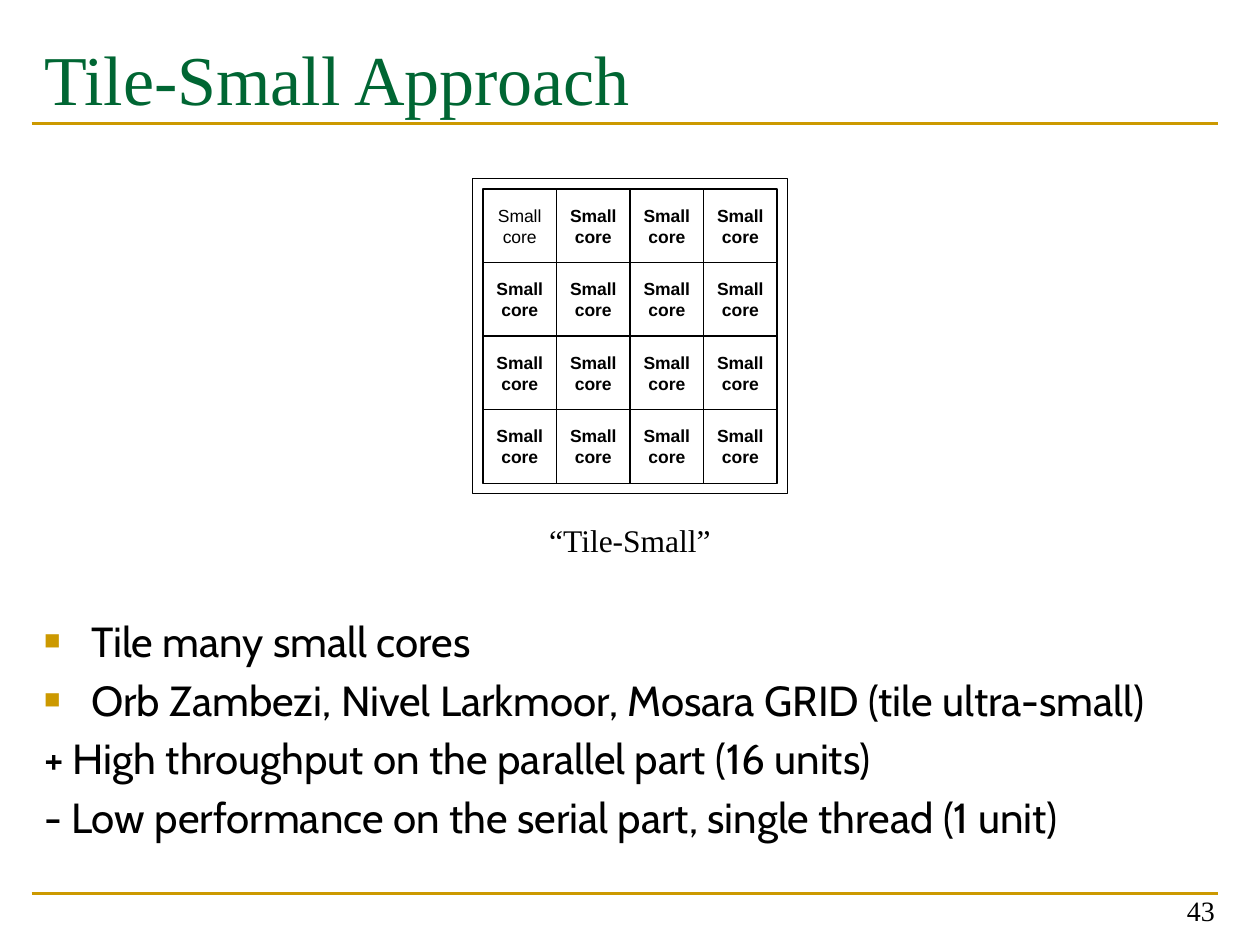
"""Build the Tile-Small Approach slide: a 4 x 4 grid of small cores with notes."""
from dataclasses import dataclass

from lxml import etree
from pptx import Presentation
from pptx.dml.color import RGBColor
from pptx.enum import shapes, text
from pptx.oxml import ns
from pptx.util import Cm, Pt


@dataclass(frozen=True)
class Theme:
    green: str = "006633"
    gold: str = "CC9900"
    black: str = "000000"
    white: str = "FFFFFF"
    serif: str = "Times New Roman"
    sans: str = "Arial"
    body: str = "Cabin"
    title_size: float = 40
    body_size: float = 24
    caption_size: float = 18
    number_size: float = 16
    core_size: float = 10


THEME = Theme()
MARGIN, CONTENT_WIDTH = 0.64, 23.92
CHIP_SIZE, CHIP_TOP, CHIP_PADDING, CORES_PER_SIDE = 6.35, 3.6, 0.21, 4
NOTES = [
    ("Tile many small cores", True),
    ("Orb Zambezi, Nivel Larkmoor, Mosara GRID (tile ultra-small)", True),
    ("+ High throughput on the parallel part (16 units)", False),
    ("- Low performance on the serial part, single thread (1 unit)", False),
]


def color(value):
    return RGBColor.from_string(value)


def style(paragraph, name, size, value=THEME.black, bold=False):
    font = paragraph.font
    font.name, font.size, font.bold = name, Pt(size), bold
    font.color.rgb = color(value)


def add_rule(slide, top):
    line = slide.shapes.add_connector(
        shapes.MSO_CONNECTOR.STRAIGHT,
        Cm(MARGIN), Cm(top), Cm(MARGIN + CONTENT_WIDTH), Cm(top))
    line.line.color.rgb = color(THEME.gold)
    line.line.width = Pt(1.5)
    etree.SubElement(line._element.spPr, ns.qn("a:effectLst"))


def add_label(slide, content, left, top, width, height, name, size,
              value=THEME.black, align=text.PP_ALIGN.LEFT,
              anchor=text.MSO_ANCHOR.TOP):
    box = slide.shapes.add_textbox(Cm(left), Cm(top), Cm(width), Cm(height))
    frame = box.text_frame
    frame.word_wrap = True
    frame.vertical_anchor = anchor
    paragraph = frame.paragraphs[0]
    paragraph.text = content
    paragraph.alignment = align
    style(paragraph, name, size, value)
    return box


def add_square(group, left, top, size, width):
    square = group.shapes.add_shape(
        shapes.MSO_SHAPE.RECTANGLE, Cm(left), Cm(top), Cm(size), Cm(size))
    square.shadow.inherit = False
    square.fill.background()
    square.line.color.rgb = color(THEME.black)
    square.line.width = Pt(width)
    return square


def add_core(group, left, top, size, bold):
    frame = add_square(group, left, top, size, 0.75).text_frame
    frame.word_wrap = False
    frame.vertical_anchor = text.MSO_ANCHOR.MIDDLE
    paragraph = frame.paragraphs[0]
    paragraph.text = "Small\vcore"
    paragraph.alignment = text.PP_ALIGN.CENTER
    style(paragraph, THEME.sans, THEME.core_size, bold=bold)


def add_chip(slide, left, top):
    group = slide.shapes.add_group_shape()
    add_square(group, left, top, CHIP_SIZE, 0.25)
    core = (CHIP_SIZE - 2 * CHIP_PADDING) / CORES_PER_SIDE
    for row in range(CORES_PER_SIDE):
        for column in range(CORES_PER_SIDE):
            add_core(group, left + CHIP_PADDING + column * core,
                     top + CHIP_PADDING + row * core, core,
                     bold=row + column > 0)


def add_bullet(properties):
    bullet_color = etree.SubElement(properties, ns.qn("a:buClr"))
    etree.SubElement(bullet_color, ns.qn("a:srgbClr"), val=THEME.gold)
    etree.SubElement(properties, ns.qn("a:buSzPct"), val="65000")
    etree.SubElement(properties, ns.qn("a:buFont"), typeface=THEME.sans)
    etree.SubElement(properties, ns.qn("a:buChar"), char="■")


def add_notes(slide, top, height):
    box = slide.shapes.add_textbox(
        Cm(MARGIN), Cm(top), Cm(CONTENT_WIDTH), Cm(height))
    frame = box.text_frame
    frame.word_wrap = True
    for index, (content, bulleted) in enumerate(NOTES):
        paragraph = frame.add_paragraph() if index else frame.paragraphs[0]
        paragraph.text = content
        properties = paragraph._p.get_or_add_pPr()
        properties.set("marL", str(Cm(0.95)))
        properties.set("indent", str(-Cm(0.95)))
        if bulleted:
            add_bullet(properties)
        if index:
            paragraph.space_before = Pt(4.8)
        style(paragraph, THEME.body, THEME.body_size)


def main():
    presentation = Presentation()
    presentation.slide_width, presentation.slide_height = Cm(25.4), Cm(19.05)
    slide = presentation.slides.add_slide(presentation.slide_layouts[6])
    for top in (18.01, 2.49):
        add_rule(slide, top)
    add_label(slide, "Tile-Small Approach", MARGIN, 0.6, CONTENT_WIDTH, 1.9,
              THEME.serif, THEME.title_size, THEME.green)
    add_notes(slide, 12.28, 4.92)
    add_label(slide, "43", 18.82, 17.55, 5.92, 1.27, THEME.serif,
              THEME.number_size, align=text.PP_ALIGN.RIGHT,
              anchor=text.MSO_ANCHOR.BOTTOM)
    chip_left = (25.4 - CHIP_SIZE) / 2
    add_chip(slide, chip_left, CHIP_TOP)
    caption = add_label(
        slide, "“Tile-Small”", chip_left + CHIP_PADDING, 10.37,
        CHIP_SIZE - 2 * CHIP_PADDING, 1.02, THEME.serif, THEME.caption_size,
        align=text.PP_ALIGN.CENTER)
    caption.fill.solid()
    caption.fill.fore_color.rgb = color(THEME.white)
    presentation.save("out.pptx")


if __name__ == "__main__":
    main()
